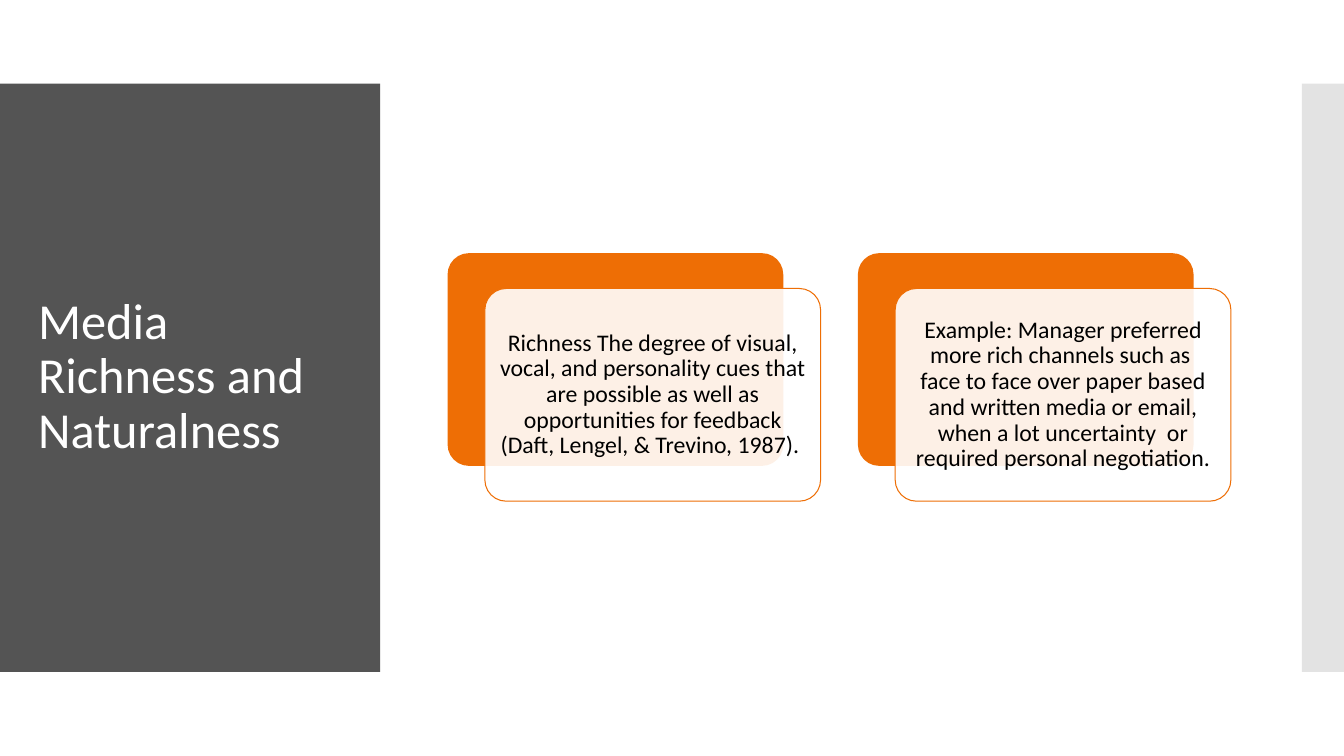
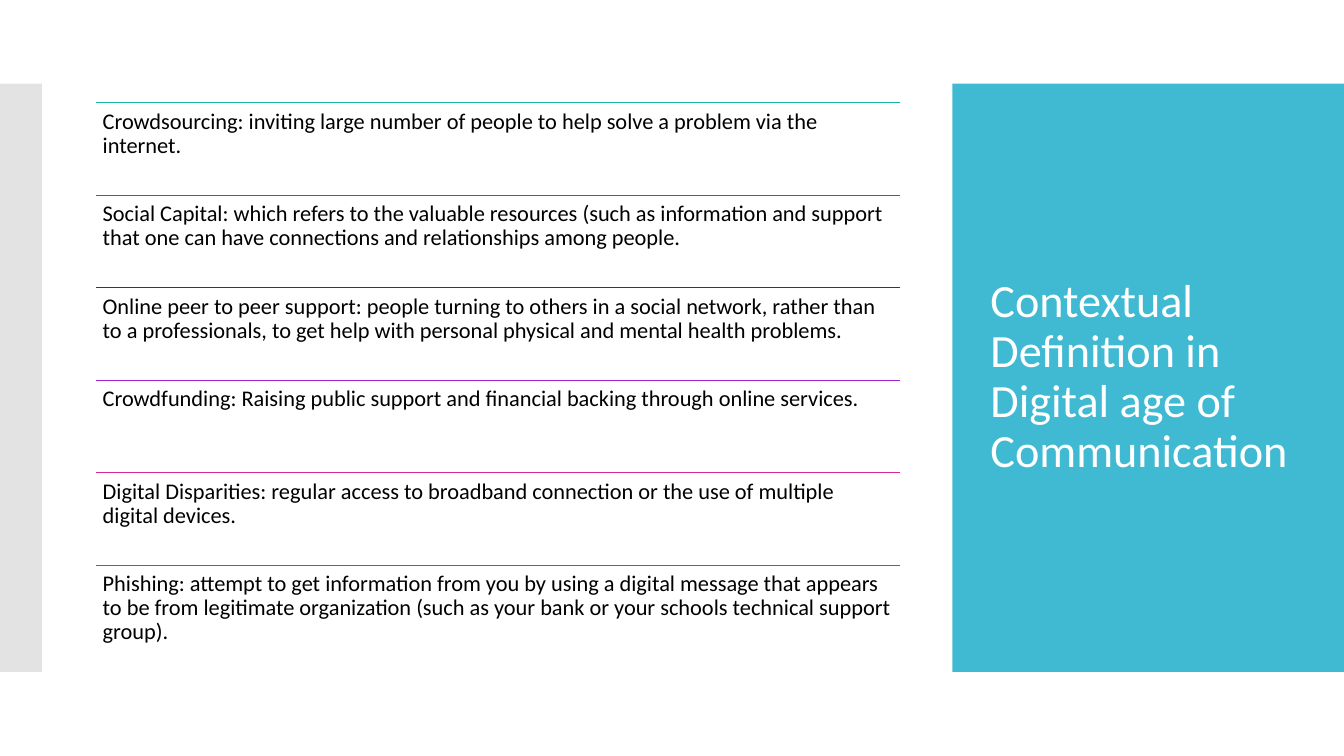
from lxml import etree
from pptx import Presentation
from pptx.dml.color import RGBColor
from pptx.enum import shapes, text
from pptx.oxml.ns import qn
from pptx.util import Cm, Pt

WHITE = RGBColor(0xFF, 0xFF, 0xFF)
BLACK = RGBColor(0, 0, 0)
CHARCOAL = RGBColor(0x54, 0x54, 0x54)
TEAL = RGBColor(0x40, 0xBA, 0xD2)
SILVER = RGBColor(0xC8, 0xC8, 0xC8)
ORANGE = RGBColor(0xEE, 0x6E, 0x05)
RULES = [RGBColor(0x17, 0xB3, 0x9E), RGBColor(0x1B, 0x6C, 0xBC),
         RGBColor(0x33, 0x1F, 0xC5), RGBColor(0xA0, 0x23, 0xCE),
         RGBColor(0xD6, 0x28, 0x97), RGBColor(0xD6, 0x35, 0x3A)]
FONT = "Calibri"
SLIDE_W, SLIDE_H = 33.87, 19.05
BAND_TOP, BAND_H, STRIP_W = 2.11, 14.82, 1.06
TITLE_INSET = 0.71

prs = Presentation()
prs.slide_width, prs.slide_height = Cm(SLIDE_W), Cm(SLIDE_H)


def add_block(slide, kind, box, color, opacity=100):
    """Add a plain filled shape; box is left, top, width, height in cm."""
    block = slide.shapes.add_shape(kind, *map(Cm, box))
    block.shadow.inherit = False
    block.fill.solid()
    block.fill.fore_color.rgb = color
    block.line.fill.background()
    if opacity < 100:
        fill_color = block.element.spPr.find(".//" + qn("a:srgbClr"))
        etree.SubElement(fill_color, qn("a:alpha"), val=str(opacity * 1000))
    return block


def write(shape, wording, size, color, align, anchor, inset_x=0.18, inset_y=0.18):
    frame = shape.text_frame
    frame.word_wrap = True
    frame.auto_size = text.MSO_AUTO_SIZE.NONE
    frame.vertical_anchor = anchor
    frame.margin_left = frame.margin_right = Cm(inset_x)
    frame.margin_top = frame.margin_bottom = Cm(inset_y)
    paragraph = frame.paragraphs[0]
    paragraph.alignment = align
    paragraph.line_spacing = 0.9
    run = paragraph.add_run()
    run.text = wording
    run.font.name, run.font.size, run.font.color.rgb = FONT, Pt(size), color


# Both slides: a title band on one side and a pale strip on the other
headings = [
    ("Media Richness and Naturalness", 36, CHARCOAL, 0, 9.58, SLIDE_W - STRIP_W),
    ("Contextual Definition in Digital age of Communication", 33, TEAL, 24, 9.87, 0),
]
slides = []
for heading, size, color, band_left, band_w, strip_left in headings:
    slide = prs.slides.add_slide(prs.slide_layouts[5])
    band = add_block(slide, shapes.MSO_SHAPE.RECTANGLE,
                     (band_left, BAND_TOP, band_w, BAND_H), color)
    add_block(slide, shapes.MSO_SHAPE.RECTANGLE,
              (strip_left, BAND_TOP, STRIP_W, BAND_H), SILVER, 50)
    title = slide.shapes.title
    title.element.addprevious(band.element)
    title.left, title.top = Cm(band_left + TITLE_INSET), Cm(3.12)
    title.width, title.height = Cm(8.18), Cm(12.78)
    write(title, heading, size, WHITE, text.PP_ALIGN.LEFT,
          text.MSO_ANCHOR.MIDDLE, 0.25, 0.13)
    slides.append(slide)
richness, definitions = slides

# Slide 1: two cards, each a pale panel over an orange backing
cards = [
    "Richness The degree of visual, vocal, and personality cues that are possible "
    "as well as opportunities for feedback (Daft, Lengel, & Trevino, 1987). ",
    "Example: Manager preferred more rich channels such as  face to face over paper "
    "based and written media or email, when a lot uncertainty  or required personal "
    "negotiation.",
]
CARD_LEFT, CARD_TOP, CARD_W, CARD_H, CARD_STEP = 11.28, 6.38, 8.46, 5.36, 10.34
for i, wording in enumerate(cards):
    left = CARD_LEFT + i * CARD_STEP
    backing = add_block(richness, shapes.MSO_SHAPE.ROUNDED_RECTANGLE,
                        (left, CARD_TOP, CARD_W, CARD_H), ORANGE)
    panel = add_block(richness, shapes.MSO_SHAPE.ROUNDED_RECTANGLE,
                      (left + 0.94, CARD_TOP + 0.89, CARD_W, CARD_H), WHITE, 90)
    backing.adjustments[0] = panel.adjustments[0] = 0.1
    panel.line.color.rgb = ORANGE
    panel.line.width = Pt(0.75)
    write(panel, wording, 17, BLACK, text.PP_ALIGN.CENTER, text.MSO_ANCHOR.MIDDLE)

# Slide 2: definitions, each under a coloured rule
terms = [
    "Crowdsourcing: inviting large number of people to help solve a problem via the "
    "internet.",
    "Social Capital: which refers to the valuable resources (such as information and "
    "support that one can have connections and relationships among people.",
    "Online peer to peer support: people turning to others in a social network, rather "
    "than to a professionals, to get help with personal physical and mental health "
    "problems.",
    "Crowdfunding: Raising public support and financial backing through online services.",
    "Digital Disparities: regular access to broadband connection or the use of multiple "
    "digital devices.",
    "Phishing: attempt to get information from you by using a digital message that "
    "appears to be from legitimate organization (such as your bank or your schools "
    "technical support group).",
]
LIST_LEFT, LIST_TOP, LIST_W, ROW_H = 2.41, 2.59, 20.26, 2.33
for i, (wording, color) in enumerate(zip(terms, RULES)):
    top = Cm(LIST_TOP + i * ROW_H)
    rule = definitions.shapes.add_connector(
        shapes.MSO_CONNECTOR.STRAIGHT, Cm(LIST_LEFT), top, Cm(LIST_LEFT + LIST_W), top)
    rule.line.color.rgb = color
    rule.line.width = Pt(0.75)
    etree.SubElement(rule.element.spPr, qn("a:effectLst"))
    entry = definitions.shapes.add_textbox(Cm(LIST_LEFT), top, Cm(LIST_W), Cm(ROW_H))
    write(entry, wording, 16, BLACK, text.PP_ALIGN.LEFT, text.MSO_ANCHOR.TOP)

prs.save("out.pptx")
